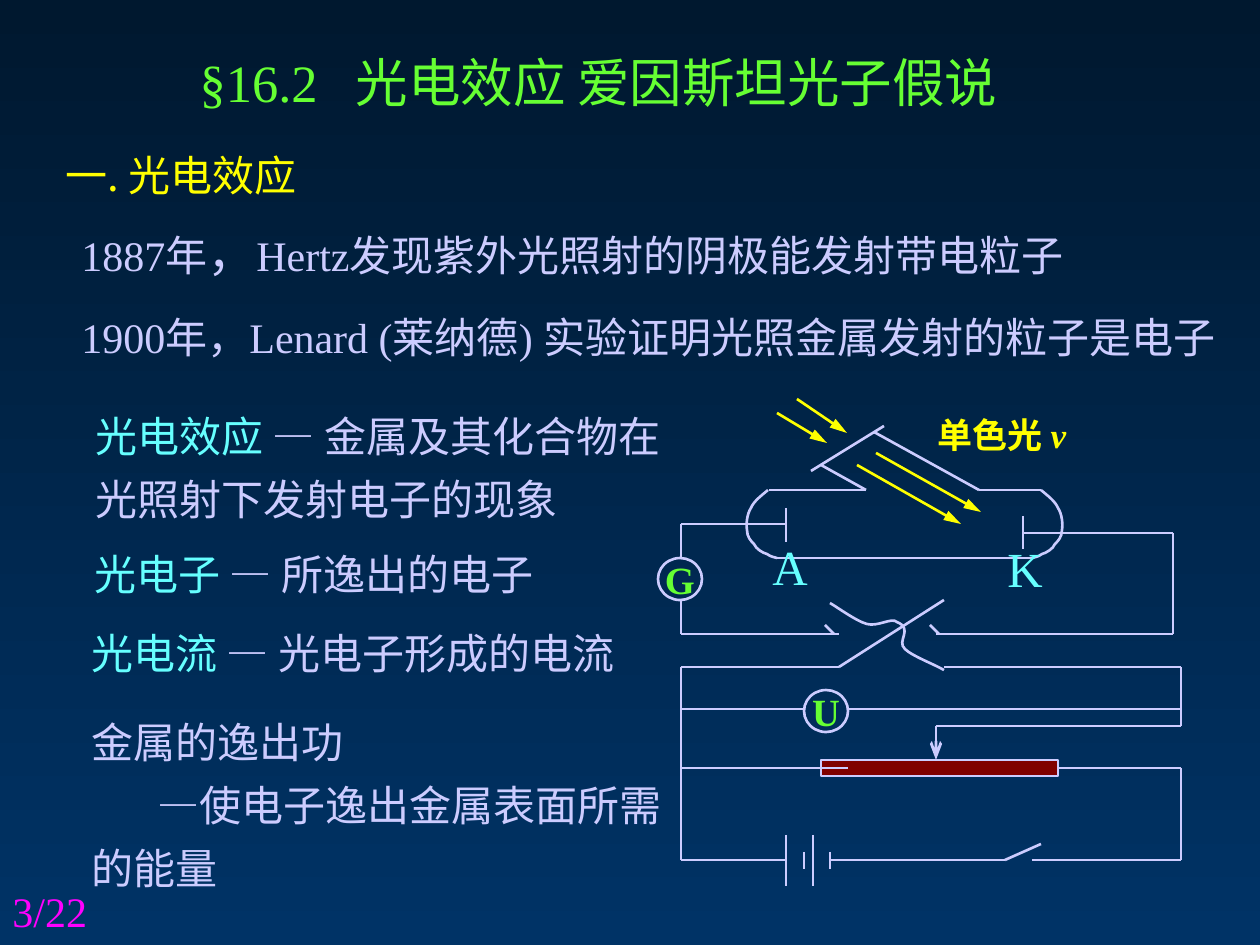
from lxml import etree
from pptx import Presentation, util as u
from pptx.dml.color import RGBColor
from pptx.enum import shapes, text
from pptx.oxml.ns import qn

PX = 914400 / 126  # EMU in one px
COLOURS = {
    "top": "00182F", "bottom": "003366", "title": "66FF33", "heading": "FFFF00",
    "body": "CCCCFF", "term": "66FFFF", "resistor": "800000", "page": "FF00FF",
}
TIMES, NOTO = "Times New Roman", "Noto Sans CJK SC"


def emu(px):
    return u.Emu(round(px * PX))


def colour(name):
    return RGBColor.from_string(COLOURS[name])


class Canvas:
    """Holds the style and the current slide."""

    def __init__(self, slide, line="body", width=1.5):
        self.slide, self.line_colour, self.width = slide, line, width

    def background(self, top, bottom):
        fill = self.slide.background.fill
        fill.gradient()
        fill.gradient_angle = 270
        for stop, name, place in zip(fill.gradient_stops, (top, bottom), (0, 1)):
            stop.color.rgb = colour(name)
            stop.position = place

    def add_run(self, para, words, size, name, font=TIMES, bold=False, italic=False):
        span = para.add_run()
        span.text = words
        span.font.size, span.font.name = u.Pt(size), font
        span.font.bold, span.font.italic = bold, italic
        span.font.color.rgb = colour(name)
        east = etree.SubElement(span._r.get_or_add_rPr(), qn("a:ea"))
        east.set("typeface", NOTO)

    def title(self, left, top, width, height, runs, tab):
        box = self.slide.shapes.title
        box.left, box.top, box.width, box.height = map(emu, (left, top, width, height))
        frame = box.text_frame
        frame.auto_size, frame.word_wrap = text.MSO_AUTO_SIZE.NONE, True
        frame.vertical_anchor = text.MSO_ANCHOR.TOP
        frame.margin_top = emu(23)
        para = frame.paragraphs[0]
        para.alignment = text.PP_ALIGN.LEFT
        stops = etree.SubElement(para._p.get_or_add_pPr(), qn("a:tabLst"))
        etree.SubElement(stops, qn("a:tab"), pos=str(emu(tab)), algn="l")
        for run in runs:
            self.add_run(para, *run)

    def label(self, left, top, width, height, paras, wrap=True, spacing=None,
              middle=False, indents=()):
        box = self.slide.shapes.add_textbox(*map(emu, (left, top, width, height)))
        frame = box.text_frame
        frame.word_wrap = wrap
        if middle:
            frame.vertical_anchor = text.MSO_ANCHOR.MIDDLE
        for i, runs in enumerate(paras):
            para = frame.add_paragraph() if i else frame.paragraphs[0]
            if spacing:
                para.line_spacing = spacing
            if i < len(indents):
                para._p.get_or_add_pPr().set("indent", str(emu(indents[i])))
            for run in runs:
                self.add_run(para, *run)

    def outline(self, shape):
        shape.line.color.rgb = colour(self.line_colour)
        shape.line.width = u.Pt(self.width)
        shape.shadow.inherit = False

    def line(self, x1, y1, x2, y2, name=None, arrow=None):
        line = self.slide.shapes.add_connector(
            shapes.MSO_CONNECTOR.STRAIGHT, *map(emu, (x1, y1, x2, y2)))
        line.line.color.rgb = colour(name or self.line_colour)
        line.line.width = u.Pt(self.width)
        if arrow:
            etree.SubElement(line.line._get_or_add_ln(), qn("a:tailEnd"),
                             type=arrow, w="med", len="lg")
        etree.SubElement(line._element.spPr, qn("a:effectLst"))

    def curve(self, points):
        """Joined cubic curves: a start, then three points for each curve."""
        builder = self.slide.shapes.build_freeform(*points[0], scale=PX)
        builder.add_line_segments(points[1:], close=False)
        shape = builder.convert_to_shape()
        # Turn each three straight segments into one cubic curve
        segments = list(shape._element.iter(qn("a:lnTo")))
        for i in range(0, len(segments), 3):
            cubic = etree.Element(qn("a:cubicBezTo"))
            segments[i].addprevious(cubic)
            for segment in segments[i:i + 3]:
                cubic.append(segment[0])
                segment.getparent().remove(segment)
        shape.fill.background()
        self.outline(shape)

    def bar(self, left, top, width, height, fill):
        shape = self.slide.shapes.add_shape(
            shapes.MSO_SHAPE.RECTANGLE, *map(emu, (left, top, width, height)))
        shape.fill.solid()
        shape.fill.fore_color.rgb = colour(fill)
        self.outline(shape)

    def meter(self, left, top, letter):
        shape = self.slide.shapes.add_shape(
            shapes.MSO_SHAPE.OVAL, *map(emu, (left, top, 44, 42)))
        shape.fill.background()
        self.outline(shape)
        frame = shape.text_frame
        frame.word_wrap = False
        frame.vertical_anchor = text.MSO_ANCHOR.MIDDLE
        para = frame.paragraphs[0]
        para.alignment = text.PP_ALIGN.CENTER
        self.add_run(para, letter, 22, "title", TIMES, True)


def add_text(page):
    page.title(187, 27, 1000, 97, [("§16.2\t", 30, "title"),
                                   ("光电效应 爱因斯坦光子假说", 30, "title", NOTO)], tab=156)
    page.label(53, 143, 655, 64, [[("一. 光电效应", 24, "heading", NOTO)]])
    page.label(69, 216, 1166, 72, [[
        ("1887年", 24, "body"), ("，", 28, "body"),
        ("Hertz发现紫外光照射的阴极能发射带电粒子", 24, "body")]])
    page.label(69, 305, 1176, 63, [[
        ("1900年，Lenard (莱纳德) 实验证明光照金属发射的粒子是电子", 24, "body")]])

    # Definitions: a coloured term, then its meaning
    def define(term, meaning):
        return [(term + " ", 24, "term", NOTO), ("— " + meaning, 24, "body", NOTO)]

    page.label(83, 394, 678, 134, [define("光电效应", "金属及其化合物在"),
                                   [("光照射下发射电子的现象", 24, "body", NOTO)]],
               spacing=1.25, middle=True)
    page.label(82, 542, 473, 63, [define("光电子", "所逸出的电子")], wrap=False)
    page.label(79, 621, 605, 63, [define("光电流", "光电子形成的电流")])
    page.label(79, 698, 595, 198, [
        [("金属的逸出功", 24, "body", NOTO)],
        [("—使电子逸出金属表面所需的能量", 24, "body", NOTO)]],
        spacing=1.25, indents=(0, 66))
    page.label(0, 879, 294, 65, [[("3/22", 24, "page")]])


def add_circuit(page):
    left, right, inner = 681, 1181, 1173  # vertical wires
    wires = [
        # Voltmeter branch and the frame around it
        (left, 709, 804, 709), (848, 709, right, 709),
        (left, 768, left, 860), (left, 768, left, 667),
        (right, 726, right, 676), (right, 667, right, 693), (right, 768, right, 860),
        (left, 667, 839, 667), (944, 667, right, 667),
        # Battery and switch
        (left, 860, 786, 860), (830, 860, 1005, 860),
        (1005, 860, 1041, 844), (1032, 860, right, 860),
        (786, 835, 786, 886), (813, 835, 813, 886),
        (804, 852, 804, 869), (830, 852, 830, 869),
        # Reversing switch
        (left, 634, 839, 634), (936, 634, inner, 634), (839, 667, 944, 600),
        (825, 625, 834, 634), (930, 625, 939, 634),
        # Ammeter branch with both electrodes
        (left, 600, left, 634), (left, 524, left, 558),
        (left, 524, 742, 524), (716, 524, 786, 524),
        (786, 508, 786, 542), (1023, 533, inner, 533),
        (inner, 533, inner, 634), (1023, 516, 1023, 549),
        # Tube walls and window
        (769, 490, 866, 490), (979, 490, 1041, 490), (777, 558, 1032, 558),
        (866, 490, 821, 465), (979, 490, 874, 432), (884, 426, 811, 471),
    ]
    for wire in wires:
        page.line(*wire)

    # Rheostat with its sliding contact
    page.bar(821, 760, 237, 16, "resistor")
    page.line(left, 768, 848, 768)
    page.line(1058, 768, right, 768)
    page.line(936, 726, 936, 760, arrow="arrow")
    page.line(936, 726, right, 726)

    # Crossing blade of the switch
    page.curve([(830, 603), (837, 607), (856, 621), (867, 624), (878, 627), (892, 617),
                (897, 622), (914, 629), (896, 641), (905, 649), (912, 656), (936, 665),
                (944, 670)])

    # Rounded tube ends, mirrored about the tube centre
    end = [(1041, 490), (1048, 496), (1055, 501), (1058, 508), (1062, 514), (1063, 524),
           (1062, 530), (1062, 537), (1058, 541), (1055, 544), (1053, 549), (1046, 553),
           (1042, 554), (1038, 557), (1035, 557), (1032, 558)]
    page.curve(end)
    page.curve([(1809 - x, y) for x, y in end])

    # Light rays
    for ray in [(777, 413, 827, 443), (797, 399, 847, 433),
                (857, 465, 961, 524), (876, 453, 981, 512)]:
        page.line(*ray, name="heading", arrow="triangle")

    # Meters and labels
    page.meter(804, 690, "U")
    page.meter(658, 558, "G")
    page.label(995, 532, 62, 72, [[("K", 28, "term")]], wrap=False)
    page.label(760, 530, 59, 72, [[("A", 28, "term")]], wrap=False)
    page.label(925, 407, 178, 55, [[("单色光 ", 20, "heading", TIMES, True),
                                    ("ν", 20, "heading", TIMES, True, True)]])


def main():
    deck = Presentation()
    deck.slide_width, deck.slide_height = emu(1260), emu(945)
    page = Canvas(deck.slides.add_slide(deck.slide_layouts[5]))
    page.background("top", "bottom")
    add_text(page)
    add_circuit(page)
    deck.save("out.pptx")


if __name__ == "__main__":
    main()
